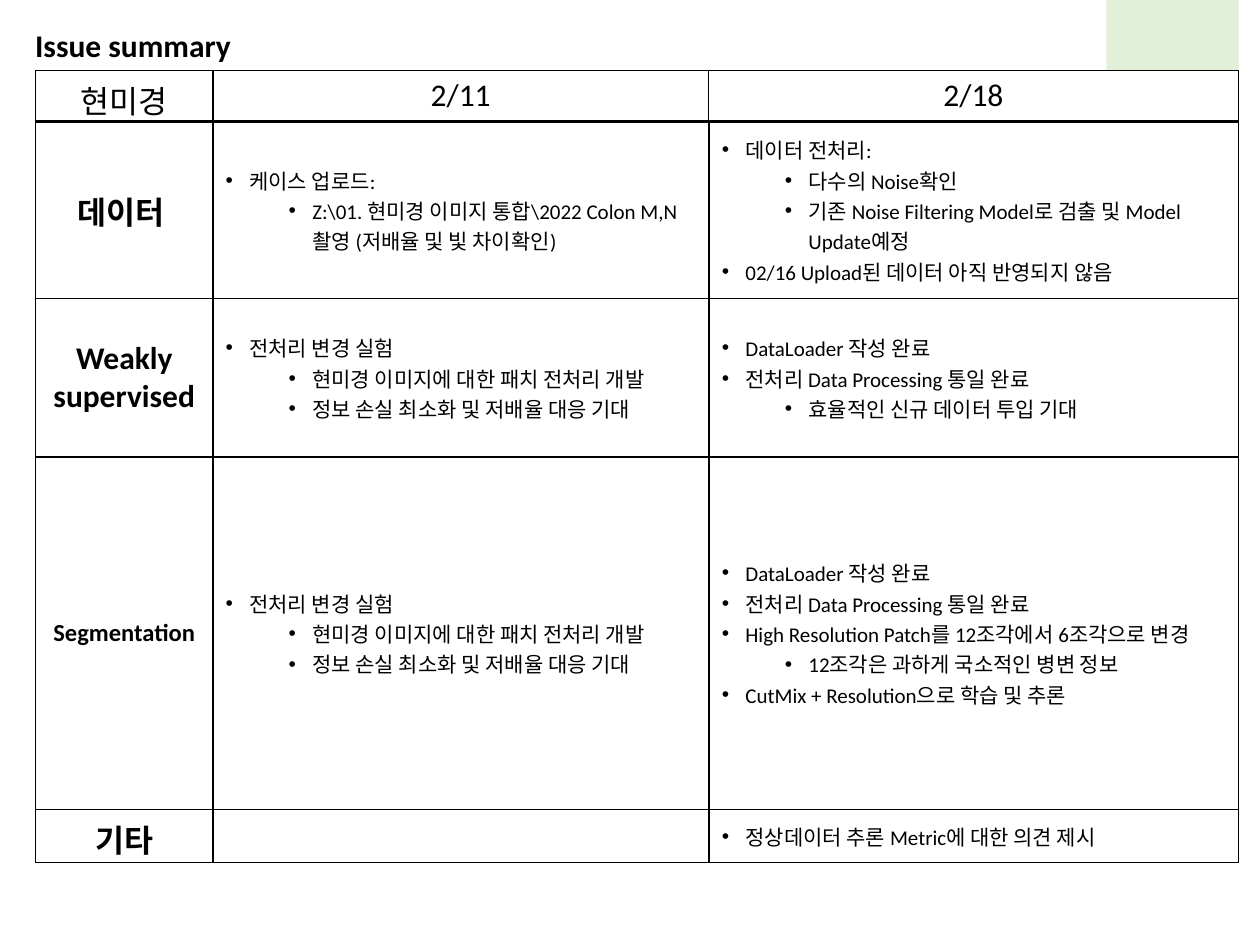
from lxml import etree
from pptx import Presentation
from pptx.dml.color import RGBColor
from pptx.enum.shapes import MSO_SHAPE
from pptx.enum.text import MSO_ANCHOR, PP_ALIGN
from pptx.oxml.ns import qn
from pptx.util import Pt

RECT = MSO_SHAPE.RECTANGLE
MIDDLE = MSO_ANCHOR.MIDDLE
CENTER = PP_ALIGN.CENTER
FONT = "Calibri"
COLORS = {"text": "000000", "border": "000000", "cell": "FFFFFF", "accent": "E2F0D9"}


def style_font(font, size, bold=False):
    font.name = FONT
    font.size = Pt(size)
    font.bold = bold
    font.color.rgb = RGBColor.from_string(COLORS["text"])


def add_grid(top, widths, heights):
    """Add an empty table with white cells and 1 pt borders."""
    frame = s.shapes.add_table(len(heights), len(widths), Pt(20.3), Pt(top),
                               Pt(sum(widths)), Pt(sum(heights)))
    table = frame.table
    table.first_row = table.horz_banding = False
    for column, width in zip(table.columns, widths):
        column.width = Pt(width)
    for row, height in zip(table.rows, heights):
        row.height = Pt(height)
    for cell in table.iter_cells():
        cell.vertical_anchor = MIDDLE
        tcPr = cell._tc.get_or_add_tcPr()
        for side in ("lnL", "lnR", "lnT", "lnB"):
            ln = etree.SubElement(tcPr, qn("a:" + side), w=str(Pt(1)))
            fill = etree.SubElement(ln, qn("a:solidFill"))
            etree.SubElement(fill, qn("a:srgbClr"), val=COLORS["border"])
        cell.fill.solid()
        cell.fill.fore_color.rgb = RGBColor.from_string(COLORS["cell"])
    return table


prs = Presentation()
prs.slide_width, prs.slide_height = Pt(720), Pt(540)
s = prs.slides.add_slide(prs.slide_layouts[6])

accent = s.shapes.add_shape(RECT, Pt(632.2), Pt(-10.8), Pt(75.6), Pt(103.7))
accent.shadow.inherit = False
accent.fill.solid()
accent.fill.fore_color.rgb = RGBColor.from_string(COLORS["accent"])
accent.line.fill.background()

title = s.shapes.add_textbox(Pt(13), Pt(11.5), Pt(225.4), Pt(29))
tf = title.text_frame
tf.word_wrap = True
tf.text = "Issue summary"
style_font(tf.paragraphs[0].runs[0].font, 18, True)

header = add_grid(40.3, [101.5, 283, 303], [13, 38.9])
for cell, label in zip(header.rows[0].cells, ["현미경", "2/11", "2/18"]):
    p = cell.text_frame.paragraphs[0]
    p.text = label
    p.alignment = CENTER
    style_font(p.runs[0].font, 18)

# Each item is (level, text).
preprocessing = [
    (0, "전처리 변경 실험"),
    (1, "현미경 이미지에 대한 패치 전처리 개발"),
    (1, "정보 손실 최소화 및 저배율 대응 기대"),
]
loader = [(0, "DataLoader 작성 완료"), (0, "전처리 Data Processing 통일 완료")]
issues = [
    ("데이터 ", 18,
     [(0, "케이스 업로드:"),
      (1, "Z:\\01. 현미경 이미지 통합\\2022 Colon M,N 촬영 (저배율 및 빛 차이확인)")],
     [(0, "데이터 전처리:"),
      (1, "다수의 Noise확인"),
      (1, "기존 Noise Filtering Model로 검출 및 Model Update예정"),
      (0, "02/16 Upload된 데이터 아직 반영되지 않음")]),
    ("Weakly supervised", 18, preprocessing,
     loader + [(1, "효율적인 신규 데이터 투입 기대")]),
    ("Segmentation", 14, preprocessing,
     loader + [(0, "High Resolution Patch를 12조각에서 6조각으로 변경"),
               (1, "12조각은 과하게 국소적인 병변 정보"),
               (0, "CutMix + Resolution으로 학습 및 추론")]),
    ("기타", 18, [], [(0, "정상데이터 추론 Metric에 대한 의견 제시")]),
]

body = add_grid(69.8, [101.5, 283.5, 302.5], [100.8, 90.7, 201.3, 30.2])
for row, (topic, size, *weeks) in zip(body.rows, issues):
    p = row.cells[0].text_frame.paragraphs[0]
    p.text = topic
    p.alignment = CENTER
    style_font(p.runs[0].font, size, True)
    for column, items in enumerate(weeks, 1):
        tf = row.cells[column].text_frame
        for i, (level, text) in enumerate(items):
            p = tf.add_paragraph() if i else tf.paragraphs[0]
            p.text = text
            p.level = level
            pPr = p._p.get_or_add_pPr()
            pPr.set("marL", str(Pt(13.5 + 36 * level)))
            pPr.set("indent", str(Pt(-13.5)))
            etree.SubElement(pPr, qn("a:buFont"), typeface="Arial")
            etree.SubElement(pPr, qn("a:buChar"), char="•")
            style_font(p.runs[0].font, 12)

prs.save("out.pptx")
